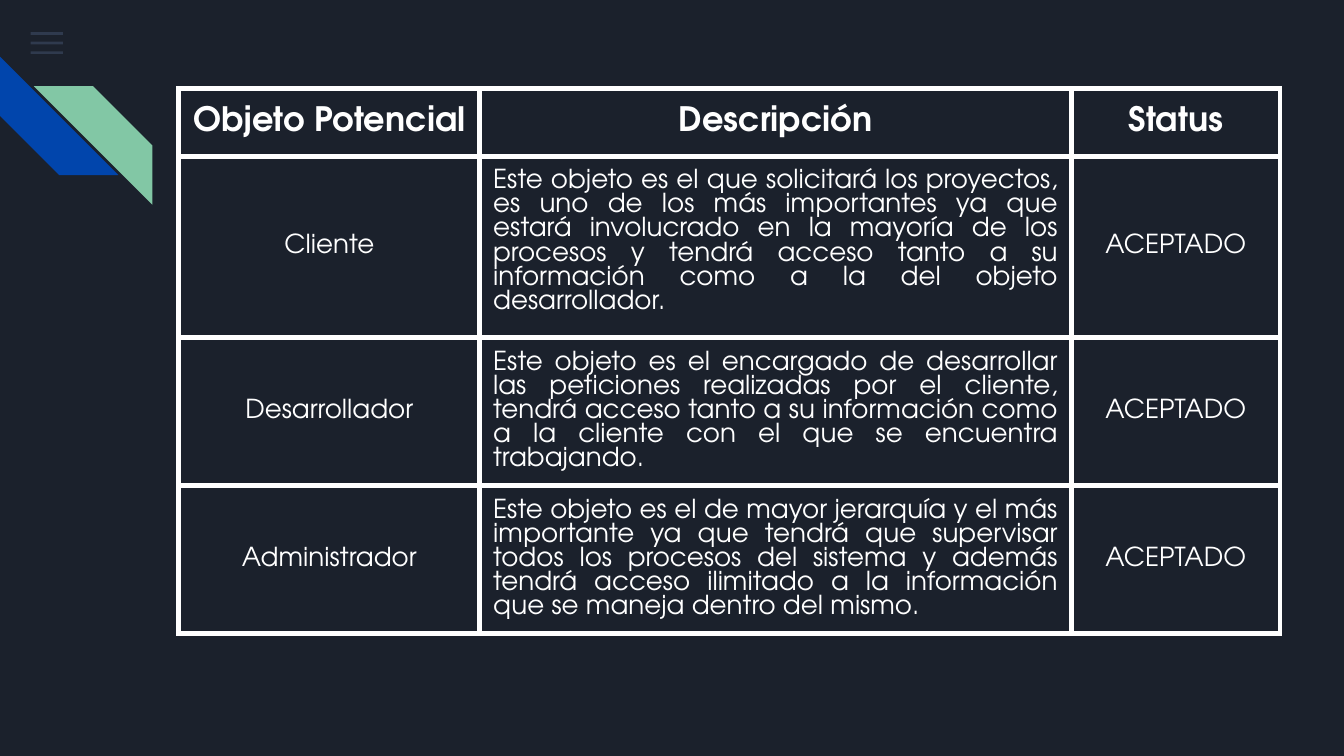
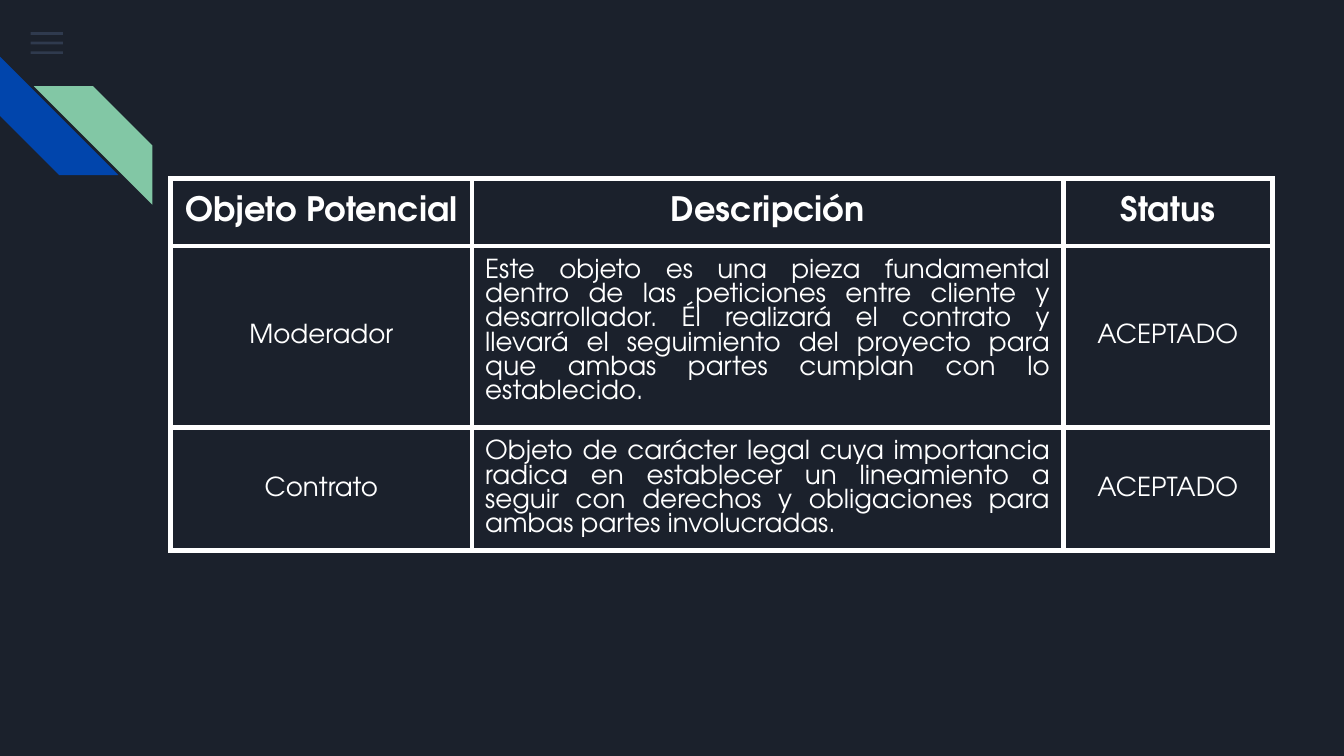
from lxml.etree import SubElement
from pptx import Presentation
from pptx.dml.color import RGBColor
from pptx.enum.shapes import MSO_SHAPE
from pptx.enum.text import MSO_ANCHOR, PP_ALIGN
from pptx.oxml.ns import qn
from pptx.util import Cm, Pt

NIGHT = RGBColor(0x1B, 0x21, 0x2C)
SLATE = RGBColor(0x55, 0x68, 0x8B)
BLUE = RGBColor(0x01, 0x45, 0xAC)
GREEN = RGBColor(0x82, 0xC7, 0xA5)
WHITE = RGBColor(0xFF, 0xFF, 0xFF)
FONT = "TeX Gyre Adventor"

HEAD = {"size": Pt(18), "bold": True}
BODY = {"size": Pt(14), "bold": False}
INSET = Cm(0.25)
MID = {"vertical_anchor": MSO_ANCHOR.MIDDLE}
TOP = {"vertical_anchor": MSO_ANCHOR.TOP}
EDGES = ("left", "right", "top", "bottom")

COLS = (5.69, 11.18, 3.94)
TITLES = ("Objeto Potencial", "Descripción", "Status")
HEAD_TALL = 1.27
STATUS = "ACEPTADO"

# Each slide: table left and top, then rows of (height, object, description)
SLIDES = (
    (3.38, 1.68, (
        (3.43, "Cliente",
         "Este objeto es el que solicitará los proyectos, es uno de los más "
         "importantes ya que estará involucrado en la mayoría de los procesos "
         "y tendrá acceso tanto a su información como a la del objeto "
         "desarrollador."),
        (2.8, "Desarrollador",
         "Este objeto es el encargado de desarrollar las peticiones realizadas "
         "por el cliente, tendrá acceso tanto a su información como a la "
         "cliente con el que se encuentra trabajando."),
        (2.8, "Administrador",
         "Este objeto es el de mayor jerarquía y el más importante ya que "
         "tendrá que supervisar todos los procesos del sistema y además tendrá "
         "acceso ilimitado a la información que se maneja dentro del mismo."),
    )),
    (3.23, 3.38, (
        (3.43, "Moderador",
         "Este objeto es una pieza fundamental dentro de las peticiones entre "
         "cliente y desarrollador. Él realizará el contrato y llevará el "
         "seguimiento del proyecto para que ambas partes cumplan con lo "
         "establecido."),
        (2.33, "Contrato",
         "Objeto de carácter legal cuya importancia radica en establecer un "
         "lineamiento a seguir con derechos y obligaciones para ambas partes "
         "involucradas."),
    )),
)


def apply(item, form):
    for key, value in form.items():
        setattr(item, key, value)


def add_form(shapes, kind, box, color):
    """Add a flat shape without outline; box is in centimetres."""
    form = shapes.add_shape(kind, *map(Cm, box))
    form.shadow.inherit = False
    form.fill.solid()
    form.fill.fore_color.rgb = color
    form.line.fill.background()
    return form


def add_menu(slide, left, top):
    for row in range(3):
        bar = add_form(slide.shapes, MSO_SHAPE.RECTANGLE,
                       (left, top + row * 0.18, 0.61, 0.05), SLATE)
        tint = bar.fill._xPr.find(".//" + qn("a:srgbClr"))
        SubElement(tint, qn("a:alpha"), val="36000")


def add_bands(slide, left, top, side):
    group = slide.shapes.add_group_shape()
    blue = add_form(group.shapes, MSO_SHAPE.DIAGONAL_STRIPE,
                    (left, top, side, side), BLUE)
    blue.rotation = 270
    green = add_form(group.shapes, MSO_SHAPE.DIAGONAL_STRIPE,
                     (left + 0.64, top + 0.56, side, side), GREEN)
    green.element.spPr.xfrm.set("flipH", "1")


def add_edges(cell):
    """Give a cell four white borders and no fill."""
    props = cell._tc.get_or_add_tcPr()
    for side in ("lnL", "lnR", "lnT", "lnB"):
        line = SubElement(props, qn("a:" + side), w=str(Pt(3)))
        fill = SubElement(line, qn("a:solidFill"))
        SubElement(fill, qn("a:srgbClr"), val=str(WHITE))
    cell.fill.background()


def fill_cell(cell, text, font, align, anchor):
    add_edges(cell)
    apply(cell, {"margin_" + edge: INSET for edge in EDGES} | anchor)
    para = cell.text_frame.paragraphs[0]
    para.alignment = align
    run = para.add_run()
    run.text = text
    apply(run.font, font | {"name": FONT})
    run.font.color.rgb = WHITE


def add_grid(slide, left, top, rows):
    talls = [HEAD_TALL] + [row[0] for row in rows]
    lines = [TITLES] + [(name, note, STATUS) for _, name, note in rows]
    box = map(Cm, (left, top, sum(COLS), sum(talls)))
    table = slide.shapes.add_table(len(lines), len(COLS), *box).table
    apply(table, {"first_row": False, "horz_banding": False})
    for col, wide in zip(table.columns, COLS):
        col.width = Cm(wide)
    for r, (tall, line) in enumerate(zip(talls, lines)):
        table.rows[r].height = Cm(tall)
        for c, text in enumerate(line):
            note = r > 0 and c == 1
            fill_cell(table.cell(r, c), text, BODY if r else HEAD,
                      PP_ALIGN.JUSTIFY if note else PP_ALIGN.CENTER,
                      TOP if note else MID)


def add_page(deck, left, top, rows):
    slide = deck.slides.add_slide(deck.slide_layouts[6])
    add_menu(slide, 0.58, 0.61)
    add_bands(slide, 0, 1.07, 2.24)
    add_grid(slide, left, top, rows)


def main():
    deck = Presentation()
    apply(deck, {"slide_width": Cm(25.4), "slide_height": Cm(14.29)})
    back = deck.slide_master.background.fill
    back.solid()
    back.fore_color.rgb = NIGHT
    for page in SLIDES:
        add_page(deck, *page)
    deck.save("out.pptx")


if __name__ == "__main__":
    main()
